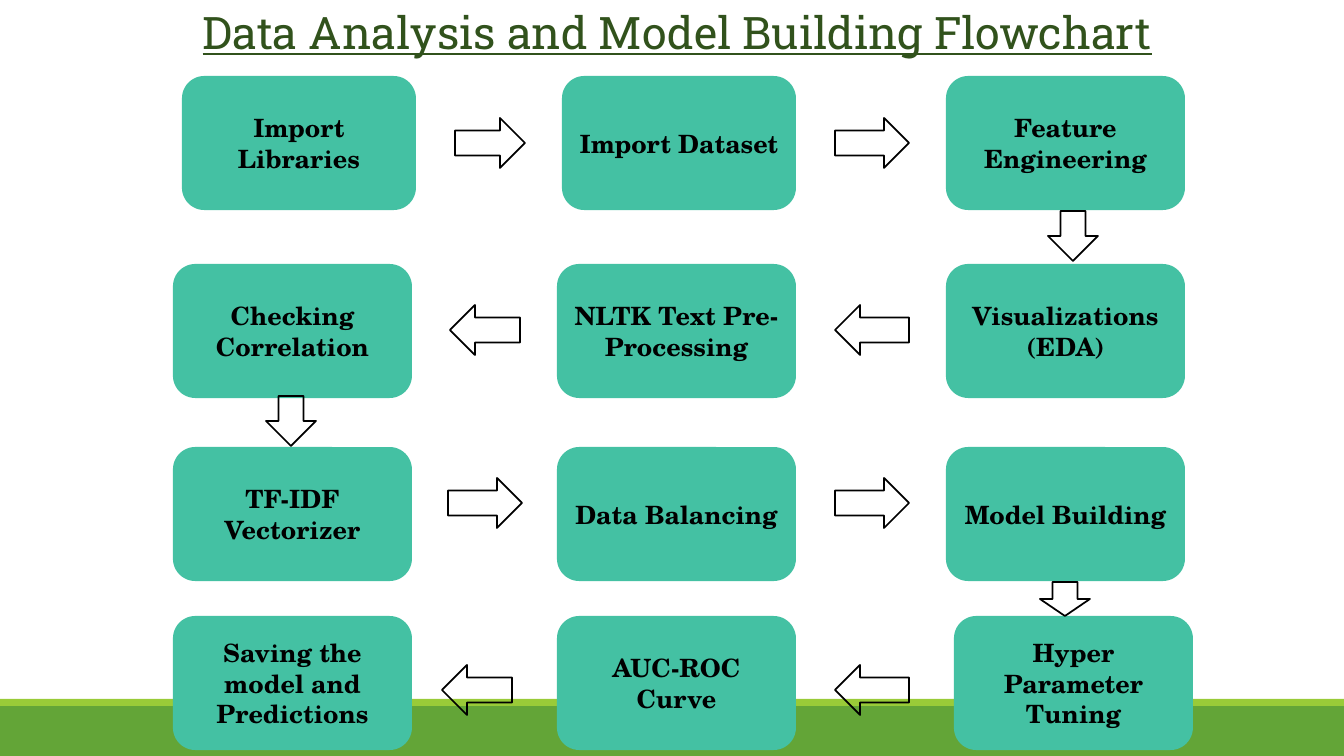
from pptx import Presentation
from pptx import util as u
from pptx.dml.color import RGBColor
from pptx.enum import shapes, text

EMU_PER_PX = 914400 / 100.8
SLIDE = (1344, 756)
TITLE = "Data Analysis and Model Building Flowchart"
TITLE_BOX = (59, 0, 1237, 95)
TITLE_FORMAT = {"name": "Roboto Slab", "size": u.Pt(32), "bold": False, "underline": True}
STEP_FORMAT = {"name": "TeX Gyre Schola", "size": u.Pt(18), "bold": True}
TITLE_COLOR, STEP_FILL, BLACK = "31521C", "44C1A3", "000000"
BANDS = [((0, 706, 1344, 50), "63A537"), ((0, 699, 1344, 7), "99CB38")]

STEP_HEIGHT, ARROW_HEIGHT = 134, 50
COLUMNS = [(173, 239), (557, 239), (946, 239)]
FIRST_COLUMNS = [(182, 234), (562, 234), (946, 239)]
LAST_COLUMNS = [(173, 239), (557, 239), (954, 239)]
LAST_GAP = (835, 74)
RIGHT = shapes.MSO_SHAPE.RIGHT_ARROW
LEFT = shapes.MSO_SHAPE.LEFT_ARROW
DOWN = shapes.MSO_SHAPE.DOWN_ARROW

ROWS = [
    {"top": 76, "columns": FIRST_COLUMNS, "arrow": RIGHT, "arrow_top": 118, "first_gap": (455, 70),
     "steps": ["Import Libraries", "Import Dataset", "Feature Engineering"]},
    {"top": 264, "columns": COLUMNS, "arrow": LEFT, "arrow_top": 305, "first_gap": (450, 70),
     "steps": ["Checking Correlation", "NLTK Text Pre-Processing", "Visualizations\n(EDA)"]},
    {"top": 447, "columns": COLUMNS, "arrow": RIGHT, "arrow_top": 478, "first_gap": (448, 74),
     "steps": ["TF-IDF Vectorizer", "Data Balancing", "Model Building"]},
    {"top": 616, "columns": LAST_COLUMNS, "arrow": LEFT, "arrow_top": 665, "first_gap": (442, 70),
     "steps": ["Saving the model and Predictions", "AUC-ROC Curve", "Hyper Parameter Tuning"]},
]
DOWN_ARROWS = [(1048, 211, 50, 50), (266, 396, 50, 50), (1040, 582, 50, 34)]


def px(value):
    return round(value * EMU_PER_PX)


def color(value):
    return RGBColor.from_string(value)


def write(shape, words, font_format, font_color, anchor):
    frame = shape.text_frame
    frame.text = words
    frame.word_wrap = True
    frame.auto_size = text.MSO_AUTO_SIZE.NONE
    frame.vertical_anchor = anchor
    for paragraph in frame.paragraphs:
        paragraph.alignment = text.PP_ALIGN.CENTER
        for run in paragraph.runs:
            for name, value in font_format.items():
                setattr(run.font, name, value)
            run.font.color.rgb = color(font_color)


def add_shape(slide, kind, box, fill=None):
    shape = slide.shapes.add_shape(kind, *map(px, box))
    shape.shadow.inherit = False
    if fill:
        shape.fill.solid()
        shape.fill.fore_color.rgb = color(fill)
        shape.line.fill.background()
    else:
        shape.fill.background()
        shape.line.color.rgb = color(BLACK)
        shape.line.width = u.Pt(1.25)
    return shape


def add_row(slide, row):
    for (left, width), words in zip(row["columns"], row["steps"]):
        step = add_shape(slide, shapes.MSO_SHAPE.FLOWCHART_ALTERNATE_PROCESS,
                         (left, row["top"], width, STEP_HEIGHT), STEP_FILL)
        write(step, words, STEP_FORMAT, BLACK, text.MSO_ANCHOR.MIDDLE)
    for left, width in (row["first_gap"], LAST_GAP):
        add_shape(slide, row["arrow"], (left, row["arrow_top"], width, ARROW_HEIGHT))


def main():
    presentation = Presentation()
    presentation.slide_width, presentation.slide_height = map(px, SLIDE)
    slide = presentation.slides.add_slide(presentation.slide_layouts[5])

    title = slide.shapes.title
    title.left, title.top, title.width, title.height = map(px, TITLE_BOX)
    write(title, TITLE, TITLE_FORMAT, TITLE_COLOR, text.MSO_ANCHOR.TOP)

    for box, fill in BANDS:
        add_shape(slide, shapes.MSO_SHAPE.RECTANGLE, box, fill)
    for row in ROWS:
        add_row(slide, row)
    for box in DOWN_ARROWS:
        add_shape(slide, DOWN, box)

    presentation.save("out.pptx")


if __name__ == "__main__":
    main()
